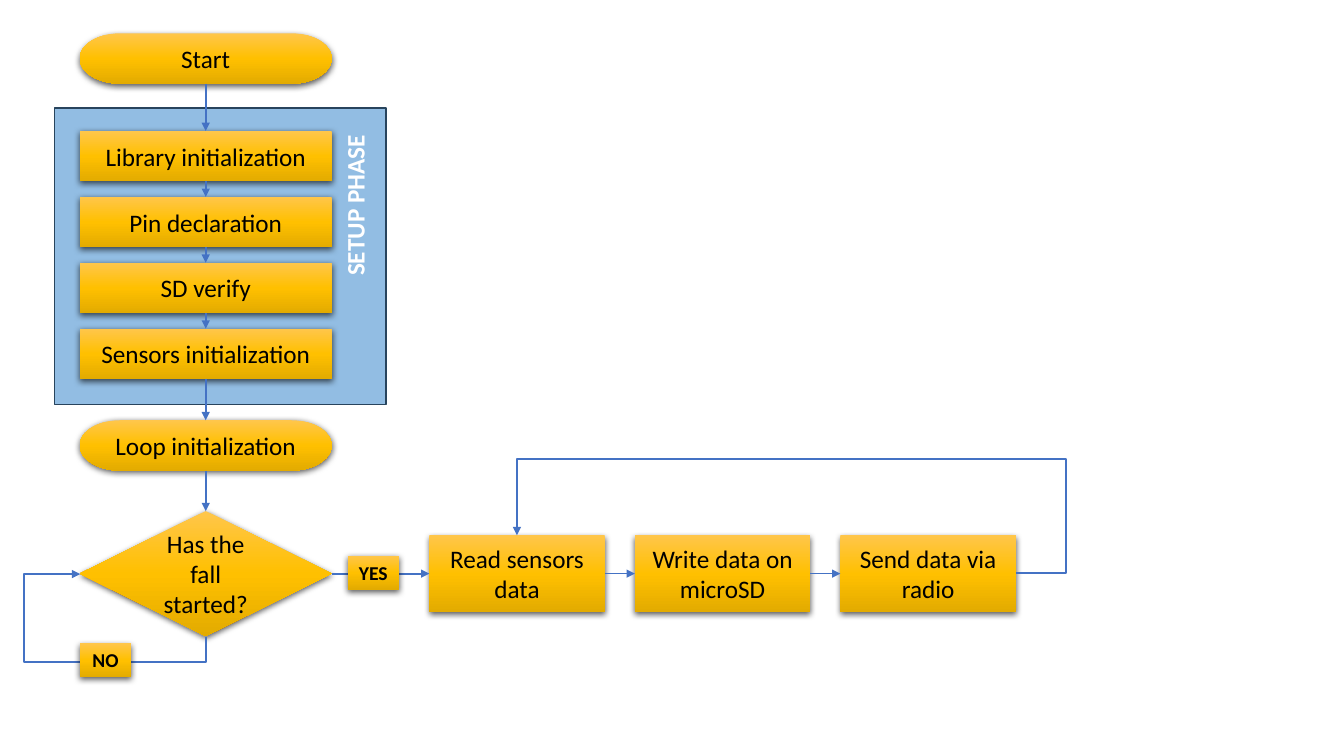
from itertools import pairwise

from lxml.etree import SubElement
from pptx import Presentation
from pptx.dml.color import RGBColor
from pptx.enum.shapes import MSO_CONNECTOR as Link, MSO_SHAPE as Shape
from pptx.enum.text import MSO_ANCHOR as Anchor, PP_ALIGN as Align
from pptx.oxml import parse_xml
from pptx.oxml.ns import nsdecls, qn
from pptx.util import Cm, Pt

theme = {
    "font": "Calibri", "size": Pt(18), "label_size": Pt(14),
    "text": RGBColor.from_string("000000"),
    "light": RGBColor.from_string("FFFFFF"),
    "link": RGBColor.from_string("4472C4"),
    "panel": RGBColor.from_string("5B9BD5"),
    "panel_line": RGBColor.from_string("28445D"),
    "gold": ((0, "FFC64B"), (50, "FFC000"), (100, "E3AB00")),
}


def add_node(kind, text, x, y, w, h, size=theme["size"], bold=False):
    sp = s.shapes.add_shape(kind, Cm(x), Cm(y), Cm(w), Cm(h))
    stops = "".join(
        f'<a:gs pos="{pos * 1000}"><a:srgbClr val="{color}"/></a:gs>'
        for pos, color in theme["gold"])
    sp.element.spPr.append(parse_xml(
        f'<a:gradFill {nsdecls("a")} rotWithShape="1"><a:gsLst>{stops}</a:gsLst>'
        '<a:lin ang="5400000" scaled="0"/></a:gradFill>'))
    sp.line.fill.background()
    sp.element.spPr.append(parse_xml(
        f'<a:effectLst {nsdecls("a")}><a:outerShdw blurRad="57150" dist="19050"'
        ' dir="5400000" algn="ctr" rotWithShape="0"><a:srgbClr val="000000">'
        '<a:alpha val="63000"/></a:srgbClr></a:outerShdw></a:effectLst>'))
    tf = sp.text_frame
    tf.word_wrap = not bold
    tf.vertical_anchor = Anchor.TOP if bold else Anchor.MIDDLE
    p = tf.paragraphs[0]
    p.text = text
    p.alignment = Align.CENTER
    p.font.name, p.font.size, p.font.bold = theme["font"], size, bold
    p.font.color.rgb = theme["text"]
    return sp


def add_arrow(kind, x1=0, y1=0, x2=0, y2=0, width=1.5):
    c = s.shapes.add_connector(kind, Cm(x1), Cm(y1), Cm(x2), Cm(y2))
    c.line.color.rgb = theme["link"]
    c.line.width = Pt(width)
    spPr = c.element.spPr
    SubElement(spPr.find(qn("a:ln")), qn("a:tailEnd"), type="triangle")
    SubElement(spPr, qn("a:effectLst"))
    return c


prs = Presentation()
prs.slide_width, prs.slide_height = Cm(33.87), Cm(19.05)
s = prs.slides.add_slide(prs.slide_layouts[6])

panel = s.shapes.add_shape(Shape.FLOWCHART_PROCESS, Cm(1.37), Cm(2.72), Cm(8.36), Cm(7.47))
panel.shadow.inherit = False
panel.fill.solid()
panel.fill.fore_color.rgb = theme["panel"]
SubElement(panel.element.spPr.find(".//" + qn("a:srgbClr")), qn("a:alpha"), val="66000")
panel.line.color.rgb = theme["panel_line"]
panel.line.width = Pt(1)

left, width, height = 2.01, 6.35, 1.27
setup_steps = ["Library initialization", "Pin declaration", "SD verify", "Sensors initialization"]
column = [add_node(Shape.FLOWCHART_TERMINATOR, "Start", left, 0.84, width, height)]
for i, text in enumerate(setup_steps):
    column.append(add_node(Shape.FLOWCHART_PROCESS, text, left, 3.3 + 1.66 * i, width, height))
column.append(add_node(
    Shape.FLOWCHART_TERMINATOR, "Loop initialization", left, 10.59, width, height))
decision = add_node(
    Shape.FLOWCHART_DECISION, "Has the fall started?", left, 12.88, width, 3.15)
column.append(decision)

loop_steps = ["Read sensors data", "Write data on microSD", "Send data via radio"]
row = [decision]
for i, text in enumerate(loop_steps):
    row.append(add_node(Shape.FLOWCHART_PROCESS, text, 10.82 + 5.18 * i, 13.49, 4.42, 1.93))

for above, below in pairwise(column):
    c = add_arrow(Link.STRAIGHT)
    c.begin_connect(above, 2)
    c.end_connect(below, 0)
for before, after in pairwise(row):
    c = add_arrow(Link.STRAIGHT, width=1.5 if before is decision else 0.5)
    c.begin_connect(before, 3)
    c.end_connect(after, 1)

loops = [
    ((4.4, 13.67, 2.82, 16.84), 90, (-40400, 144800)),
    ((25.6, 14.45, 13.03, 13.49), 0, (-10100, 300000)),
]
for ends, turn, adjustments in loops:
    spPr = add_arrow(Link.ELBOW, *ends).element.spPr
    spPr.find(qn("a:xfrm")).set("rot", str(turn * 60000))
    geometry = spPr.find(qn("a:prstGeom"))
    geometry.set("prst", "bentConnector4")
    guides = geometry.find(qn("a:avLst"))
    for i, value in enumerate(adjustments, 1):
        SubElement(guides, qn("a:gd"), name=f"adj{i}", fmla=f"val {value}")

for text, x, y in [("YES", 8.76, 14.0), ("NO", left, 16.21)]:
    add_node(Shape.RECTANGLE, text, x, y, 1.3, 0.86, theme["label_size"], True)

tf = s.shapes.add_textbox(Cm(8.43), Cm(3.15), Cm(1.27), Cm(5.54)).text_frame
tf.word_wrap = True
tf._txBody.bodyPr.set("vert", "vert270")
p = tf.paragraphs[0]
p.text = "SETUP PHASE"
p.alignment = Align.RIGHT
p.font.name, p.font.size, p.font.bold = theme["font"], theme["size"], True
p.font.color.rgb = theme["light"]

prs.save("out.pptx")
